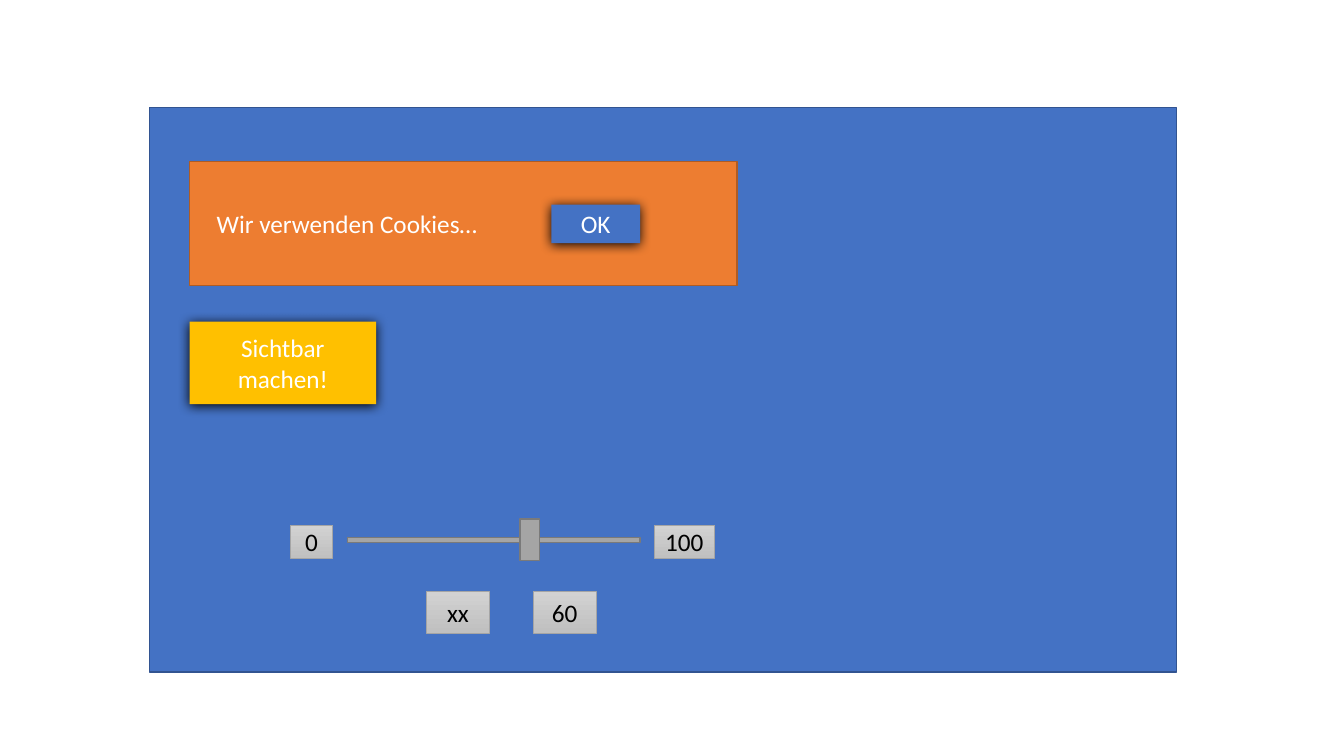
from lxml import etree
from pptx import Presentation
from pptx.dml.color import RGBColor
from pptx.enum import shapes, text
from pptx.oxml import ns
from pptx.util import Pt

BLUE = RGBColor(0x44, 0x72, 0xC4)
DARK_BLUE = RGBColor(0x32, 0x54, 0x91)
ORANGE = RGBColor(0xED, 0x7D, 0x31)
DARK_ORANGE = RGBColor(0xAF, 0x5C, 0x24)
YELLOW = RGBColor(0xFF, 0xC0, 0x00)
GREY = RGBColor(0xA5, 0xA5, 0xA5)
DARK_GREY = RGBColor(0x7A, 0x7A, 0x7A)
FIELD_TOP = RGBColor(0xD2, 0xD2, 0xD2)
FIELD_BOTTOM = RGBColor(0xC0, 0xC0, 0xC0)
WHITE = RGBColor(0xFF, 0xFF, 0xFF)
BLACK = RGBColor(0x00, 0x00, 0x00)

FIELD_ROW = 375.1
READOUT_ROW = 422.6


def add_box(slide, left, top, width, height, fill=None, line=None, weight=1):
    box = slide.shapes.add_shape(
        shapes.MSO_SHAPE.RECTANGLE, Pt(left), Pt(top), Pt(width), Pt(height))
    box.shadow.inherit = False
    if fill is not None:
        box.fill.solid()
        box.fill.fore_color.rgb = fill
    if line is None:
        box.line.fill.background()
    else:
        box.line.color.rgb = line
        box.line.width = Pt(weight)
    return box


def write(box, wording, color=WHITE, size=18, font="Calibri",
          align=text.PP_ALIGN.CENTER, indent=7.2):
    frame = box.text_frame
    frame.word_wrap = True
    frame.vertical_anchor = text.MSO_ANCHOR.MIDDLE
    frame.margin_left = Pt(indent)
    paragraph = frame.paragraphs[0]
    paragraph.alignment = align
    run = paragraph.add_run()
    run.text = wording
    run.font.name = font
    run.font.size = Pt(size)
    run.font.color.rgb = color


def add_drop_shadow(box, blur=8.5, distance=1):
    effects = box.element.spPr.find(ns.qn("a:effectLst"))
    shadow = etree.SubElement(
        effects, ns.qn("a:outerShdw"), blurRad=str(Pt(blur)),
        dist=str(Pt(distance)), dir="5400000", algn="ctr", rotWithShape="0")
    etree.SubElement(shadow, ns.qn("a:srgbClr"), val=str(BLACK))


def add_button(slide, wording, left, top, width, height, fill):
    button = add_box(slide, left, top, width, height, fill)
    add_drop_shadow(button)
    write(button, wording)


def add_field(slide, wording, left, top, width, height):
    """Add a grey value field, shaded from top to bottom."""
    field = add_box(slide, left, top, width, height, line=GREY, weight=0.5)
    field.fill.gradient()
    field.fill.gradient_angle = 270
    for stop, color in zip(field.fill.gradient_stops, (FIELD_TOP, FIELD_BOTTOM)):
        stop.color.rgb = color
    write(field, wording, color=BLACK)


def add_slider(slide):
    add_box(slide, 248.4, 383.8, 208.8, 3.6, GREY, DARK_GREY)
    add_box(slide, 371.5, 370.8, 13.7, 29.5, GREY, DARK_GREY)
    add_field(slide, "0", 207.4, FIELD_ROW, 30.2, 23.8)
    add_field(slide, "100", 467.3, FIELD_ROW, 43.2, 23.8)
    add_field(slide, "60", 380.9, READOUT_ROW, 45, 29.5)
    add_field(slide, "xx", 304.6, READOUT_ROW, 45, 29.5)


def main():
    deck = Presentation()
    deck.slide_width, deck.slide_height = Pt(960), Pt(540)
    slide = deck.slides.add_slide(deck.slide_layouts[6])

    add_box(slide, 106.6, 77, 733.7, 403.2, BLUE, DARK_BLUE)
    cookie_banner = add_box(slide, 135.4, 115.2, 391, 88.6, ORANGE, DARK_ORANGE)
    write(cookie_banner, "Wir verwenden Cookies…",
          align=text.PP_ALIGN.LEFT, indent=19.4)
    add_button(slide, "OK", 393.8, 146.2, 63.4, 27.4, BLUE)
    add_button(slide, "Sichtbar machen!", 135.4, 229.7, 133.2, 59, YELLOW)
    add_slider(slide)

    deck.save("out.pptx")


if __name__ == "__main__":
    main()
